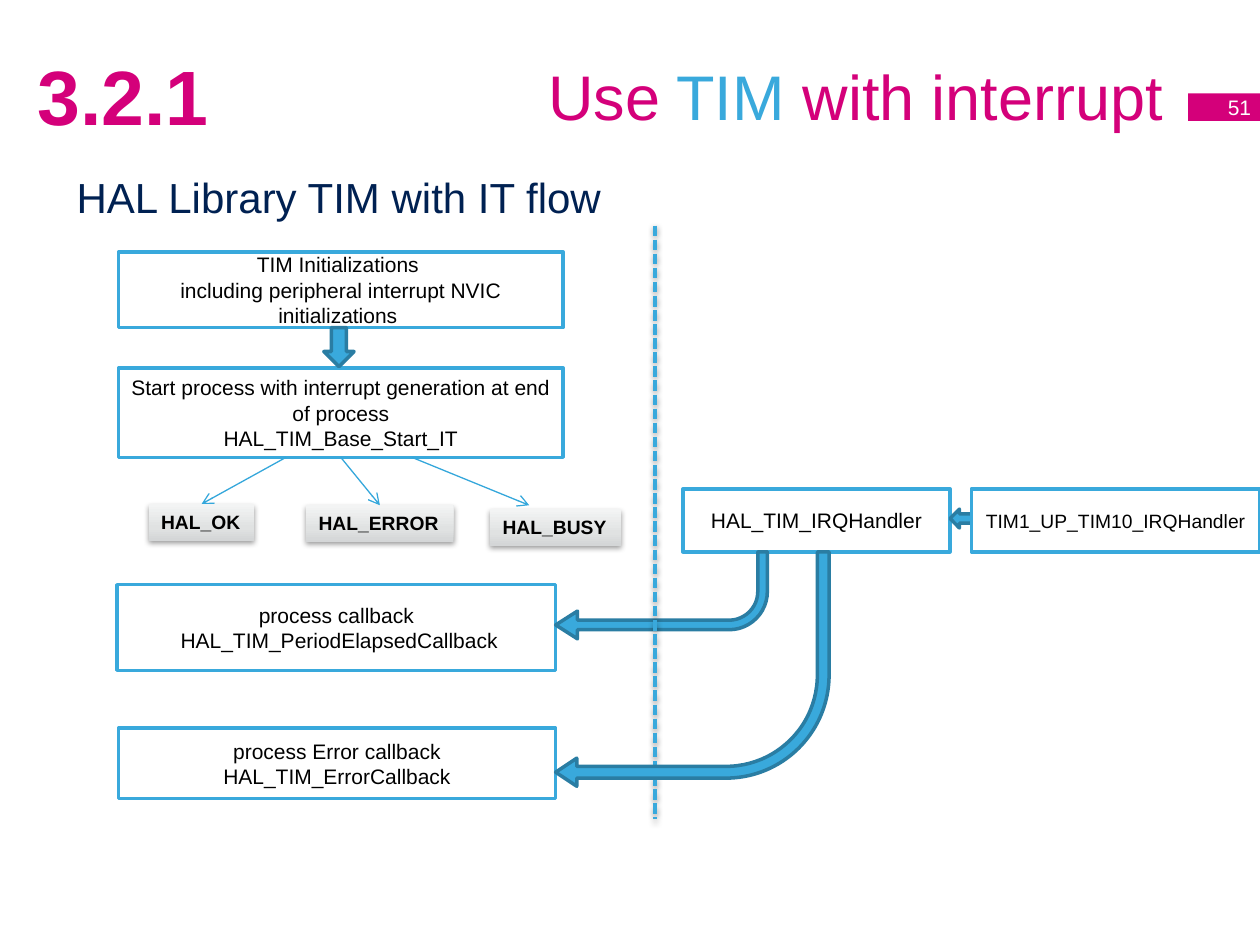
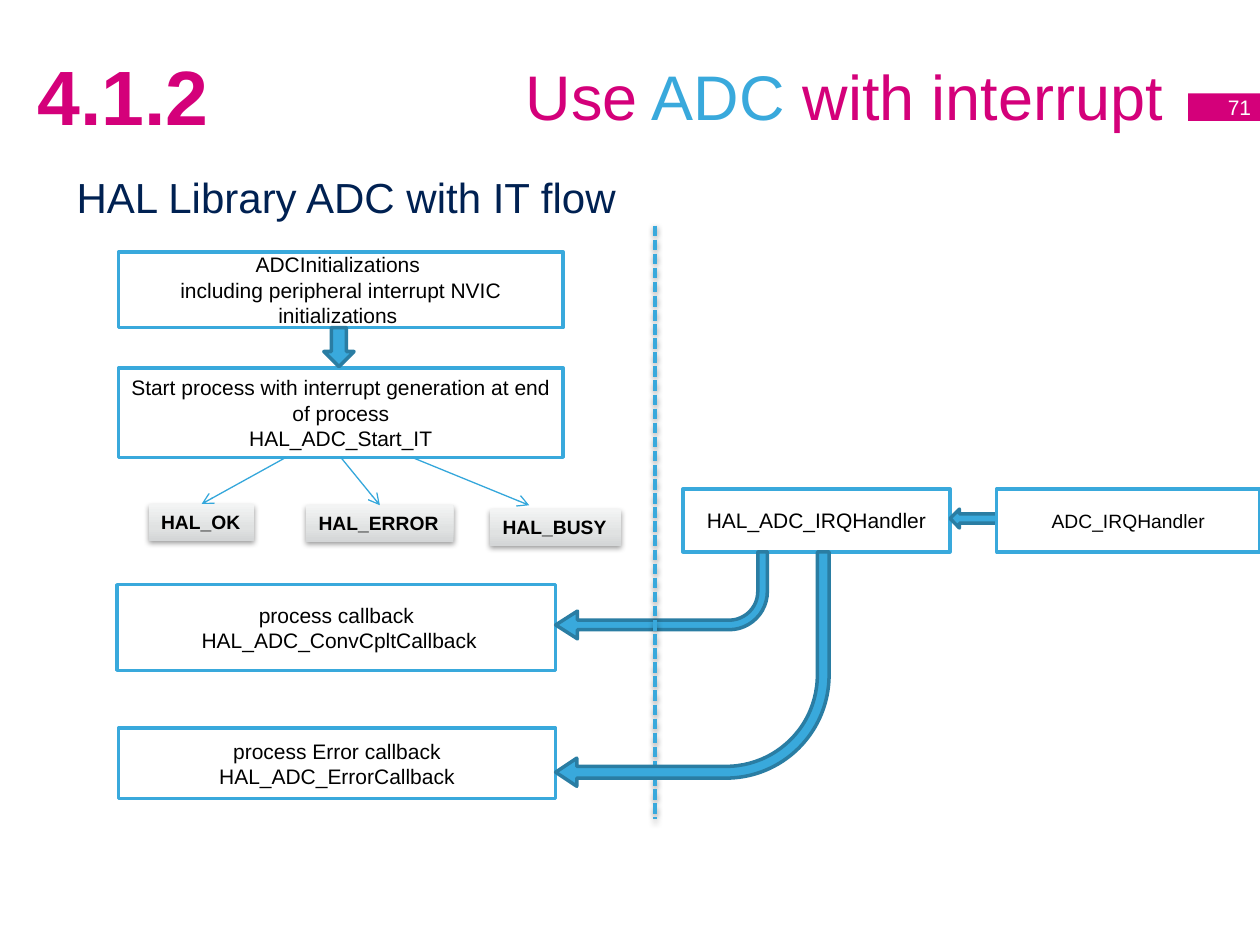
from dataclasses import dataclass

from pptx import Presentation
from pptx.dml.color import RGBColor
from pptx.enum.dml import MSO_LINE
from pptx.enum.shapes import MSO_CONNECTOR, MSO_SHAPE
from pptx.enum.text import MSO_ANCHOR, PP_ALIGN
from pptx.oxml import parse_xml
from pptx.oxml.ns import nsdecls, qn
from pptx.util import Inches, Pt

RECTANGLE = MSO_SHAPE.RECTANGLE
DOWN_ARROW = MSO_SHAPE.DOWN_ARROW
LEFT_ARROW = MSO_SHAPE.LEFT_ARROW
BENT_ARROW = MSO_SHAPE.BENT_ARROW
STRAIGHT = MSO_CONNECTOR.STRAIGHT
SQUARE_DOT = MSO_LINE.SQUARE_DOT
MIDDLE, TOP = MSO_ANCHOR.MIDDLE, MSO_ANCHOR.TOP
LEFT, CENTER, RIGHT = PP_ALIGN.LEFT, PP_ALIGN.CENTER, PP_ALIGN.RIGHT
TOP_SIDE, BOTTOM_SIDE = 0, 2

FONT = "Arial"
COLORS = {
    "magenta": "D4007A", "blue": "39A9DC", "deep_blue": "2A7DA3",
    "thin_blue": "34A7DB", "navy": "002152", "black": "000000", "white": "FFFFFF",
    "tag_low": "D4D6D7", "tag_mid": "E0E2E2", "tag_high": "F3F4F4",
}
COLUMNS, ROWS = 100, 75
CELL = Inches(0.1)


@dataclass
class Box:
    """A rectangle measured in grid columns and rows."""
    left: float
    top: float
    width: float
    height: float

    def inner(self, left, top, width, height):
        return Box(self.left + left, self.top + top, width, height)

    def lengths(self):
        return [cells(n) for n in (self.left, self.top, self.width, self.height)]


PAGE = Box(0, 0, COLUMNS, ROWS)
HEADER = PAGE.inner(2, 1.3, 98, 12.5)
SUBTITLE = PAGE.inner(5.1, 13.1, 90, 14)
FLOW = PAGE.inner(9.4, 20, 35.3, 43.4)
RESULTS = PAGE.inner(11.8, 40, 37.5, 3.3)
INTERRUPT = PAGE.inner(54.2, 38.8, 45.8, 5)
ROUTES = PAGE.inner(44.1, 43.8, 21.7, 18.6)


def cells(count):
    return round(count * CELL)


def rgb(name):
    return RGBColor.from_string(COLORS[name])


def add_xml(parent, xml):
    """Append a drawing element, given without its namespace declaration."""
    tag, rest = xml.split(" ", 1)
    parent.append(parse_xml(f"{tag} {nsdecls('a')} {rest}"))


def add_shadow(effects):
    add_xml(effects, '<a:outerShdw blurRad="40000" dist="20000" dir="5400000" rotWithShape="0">'
            f'<a:srgbClr val="{COLORS["black"]}"><a:alpha val="38000"/></a:srgbClr></a:outerShdw>')


def write(shape, lines, size, align=CENTER, anchor=MIDDLE, bold=False, wrap=True):
    """Fill a shape with lines, each a list of (text, colour) spans."""
    frame = shape.text_frame
    frame.word_wrap = wrap
    frame.vertical_anchor = anchor
    for index, spans in enumerate(lines):
        para = frame.paragraphs[0] if index == 0 else frame.add_paragraph()
        para.alignment = align
        for text, color in spans:
            span = para.add_run()
            span.text = text
            span.font.name = FONT
            span.font.size = Pt(size)
            span.font.bold = bold
            span.font.color.rgb = rgb(color)
    return frame


def add_text(slide, box, spans, size, **style):
    return write(slide.shapes.add_textbox(*box.lengths()), [spans], size, **style)


def add_shape(slide, kind, box, fill=None, line=None):
    shape = slide.shapes.add_shape(kind, *box.lengths())
    shape.shadow.inherit = False
    if fill:
        shape.fill.solid()
        shape.fill.fore_color.rgb = rgb(fill)
    if line:
        shape.line.color.rgb = rgb(line)
        shape.line.width = Pt(2)
    else:
        shape.line.fill.background()
    return shape


def add_step(slide, box, *lines, size=12):
    step = add_shape(slide, RECTANGLE, box, "white", "blue")
    write(step, [[(line, "black")] for line in lines], size)
    return step


def add_block_arrow(slide, kind, box):
    return add_shape(slide, kind, box, "blue", "deep_blue")


def add_line(slide, start, end, color, width):
    line = slide.shapes.add_connector(STRAIGHT, *[cells(n) for n in (*start, *end)])
    line.line.color.rgb = rgb(color)
    line.line.width = Pt(width)
    add_xml(line._element.spPr, "<a:effectLst />")
    return line


def add_header(slide, box, number, topic, page_number):
    add_text(slide, box.inner(3, 0, 88.3, 12.5),
             [("Use", "magenta"), (f" {topic} ", "blue"), ("with interrupt", "magenta")],
             36, align=RIGHT)
    add_text(slide, box.inner(0, 0, 18.9, 12.5), [(number, "magenta")], 44,
             align=LEFT, bold=True)
    band = add_shape(slide, RECTANGLE, box.inner(92.3, 6.1, 5.7, 2.2), "magenta")
    frame = write(band, [[(page_number, "white")]], 12, align=RIGHT)
    frame.margin_right = Inches(0.07)


def add_subtitle(slide, box, topic):
    frame = add_text(slide, box, [(f"HAL Library {topic} with IT flow", "navy")], 24,
                     align=LEFT, anchor=TOP)
    frame.paragraphs[0].space_before = frame.paragraphs[0].space_after = Pt(6)


def add_flow(slide, box, topic, init, start, callback):
    """Stack the process steps and return the one that starts the process."""
    start_step = add_step(slide, box.inner(0, 9.2, box.width, 7.1),
                          "Start process with interrupt generation at end of process",
                          f"HAL_{topic}_{start}")
    add_step(slide, box.inner(0, 0, box.width, 6), init,
             "including peripheral interrupt NVIC initializations ")
    add_step(slide, box.inner(-0.1, 26.4, 34.8, 6.8), "process callback",
             f" HAL_{topic}_{callback}")
    add_step(slide, box.inner(0, 37.8, 34.7, 5.6), "process Error callback",
             f"HAL_{topic}_ErrorCallback")
    add_block_arrow(slide, DOWN_ARROW, box.inner(16.3, 6, 2.4, 3.1))
    return start_step


def add_tag(slide, box, text):
    tag = add_shape(slide, RECTANGLE, box)
    properties = tag._element.spPr
    stops = "".join(f'<a:gs pos="{place}"><a:srgbClr val="{COLORS[name]}"/></a:gs>'
                    for place, name in ((0, "tag_low"), (35000, "tag_mid"), (100000, "tag_high")))
    gradient = parse_xml(f"<a:gradFill {nsdecls('a')} rotWithShape='1'><a:gsLst>{stops}</a:gsLst>"
                         "<a:lin ang='16200000' scaled='0'/></a:gradFill>")
    properties.find(qn("a:prstGeom")).addnext(gradient)
    add_shadow(properties.find(qn("a:effectLst")))
    write(tag, [[(text, "black")]], 11, align=LEFT, anchor=TOP, bold=True, wrap=False)
    return tag


def add_results(slide, box, start_step):
    """Show the return values, each with an arrow from the start step."""
    # text, left, top, width, arrow start, arrow end (None: joined to a middle)
    results = (("HAL_OK", 0, 0, 8.4, 10.9, None),
               ("HAL_ERROR", 12.5, 0.1, 11.7, None, None),
               ("HAL_BUSY", 27.1, 0.4, 10.4, 20.9, 30.2))
    for text, left, top, width, start, end in results:
        tag = add_tag(slide, box.inner(left, top, width, 2.9), text)
        arrow = add_line(slide, (box.left + (start or 0), box.top - 3.7),
                         (box.left + (end or 0), box.top + 0.1), "thin_blue", 0.75)
        if start is None:
            arrow.begin_connect(start_step, BOTTOM_SIDE)
        if end is None:
            arrow.end_connect(tag, TOP_SIDE)
        add_xml(arrow.line._get_or_add_ln(), '<a:tailEnd type="arrow"/>')


def add_interrupt(slide, box, topic, vector, vector_width):
    add_step(slide, box.inner(0, 0, 21.2, box.height), f"HAL_{topic}_IRQHandler")
    add_block_arrow(slide, LEFT_ARROW, box.inner(21.2, 1.6, 7.3, 1.5))
    add_step(slide, box.inner(box.width - vector_width, 0, vector_width, box.height),
             vector, size=11)


def add_route(slide, box, adjustments):
    route = add_block_arrow(slide, BENT_ARROW, box)
    route.rotation = 180
    for index, value in enumerate(adjustments):
        route.adjustments[index] = value


def add_routes(slide, box):
    """Lead from the handler to both callbacks, across the divider."""
    add_route(slide, box.inner(0, 0, 16.8, 6.9), (0.11, 0.16, 0.25, 0.44))
    divider = add_line(slide, (box.left + 7.9, box.top - 25.9),
                       (box.left + 7.9, box.top + 21.2), "blue", 2)
    divider.line.dash_style = SQUARE_DOT
    add_shadow(divider._element.spPr.find(qn("a:effectLst")))
    add_route(slide, box.inner(0, 0, box.width, box.height), (0.05, 0.06, 0.09, 0.44))


def add_interrupt_slide(deck, number, page_number, topic, init, start, callback,
                        vector, vector_width):
    slide = deck.slides.add_slide(deck.slide_layouts[6])
    add_header(slide, HEADER, number, topic, page_number)
    add_subtitle(slide, SUBTITLE, topic)
    start_step = add_flow(slide, FLOW, topic, init, start, callback)
    add_interrupt(slide, INTERRUPT, topic, vector, vector_width)
    add_routes(slide, ROUTES)
    add_results(slide, RESULTS, start_step)


def main():
    deck = Presentation()
    deck.slide_width, deck.slide_height = cells(COLUMNS), cells(ROWS)
    add_interrupt_slide(deck, "3.2.1", "51", "TIM", "TIM Initializations ", "Base_Start_IT",
                        "PeriodElapsedCallback", "TIM1_UP_TIM10_IRQHandler", 22.9)
    add_interrupt_slide(deck, "4.1.2", "71", "ADC", "ADCInitializations ", "Start_IT",
                        "ConvCpltCallback", "ADC_IRQHandler", 20.9)
    deck.save("out.pptx")


if __name__ == "__main__":
    main()
